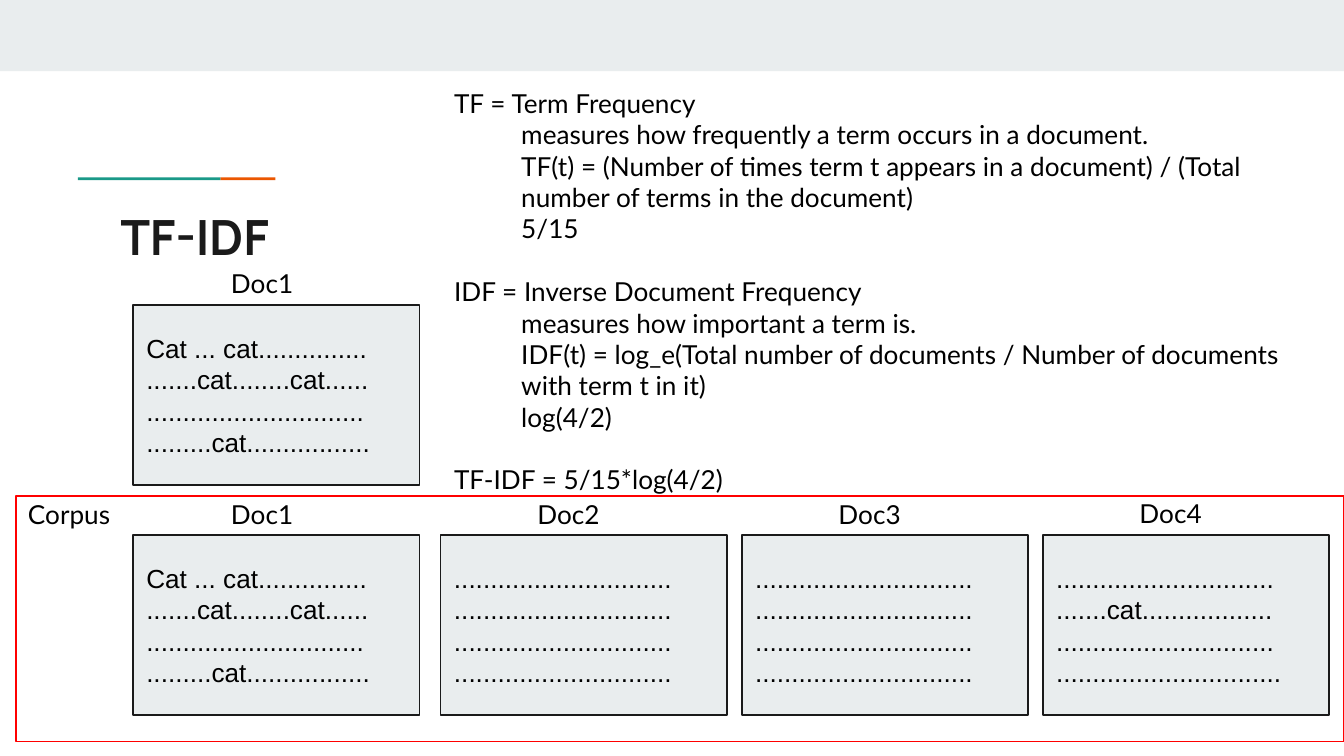
from pptx import Presentation
from pptx.dml.color import RGBColor
from pptx.enum.shapes import MSO_SHAPE
from pptx.enum.text import MSO_ANCHOR, PP_ALIGN
from pptx.util import Inches, Pt

BLACK = RGBColor(0x00, 0x00, 0x00)
INK = RGBColor(0x1A, 0x1A, 0x1A)
PALE = RGBColor(0xE9, 0xED, 0xEE)
TEAL = RGBColor(0x1A, 0x99, 0x88)
ORANGE = RGBColor(0xEB, 0x56, 0x00)
RED = RGBColor(0xFF, 0x00, 0x00)

prs = Presentation()
prs.slide_width = Inches(10)
prs.slide_height = Inches(5.625)
s = prs.slides.add_slide(prs.slide_layouts[6])


def add_rect(x, y, w, h, fill=None, line=None):
    sp = s.shapes.add_shape(MSO_SHAPE.RECTANGLE, Inches(x), Inches(y), Inches(w), Inches(h))
    sp.shadow.inherit = False
    if fill is None:
        sp.fill.background()
    else:
        sp.fill.solid()
        sp.fill.fore_color.rgb = fill
    if line is None:
        sp.line.fill.background()
    else:
        sp.line.color.rgb = line
        sp.line.width = Pt(0.75)
    return sp


def add_text(sp, lines, font="Lato", size=14, color=BLACK, bold=False):
    tf = sp.text_frame
    tf.word_wrap = True
    tf.margin_left = tf.margin_right = tf.margin_top = tf.margin_bottom = Inches(0.1)
    for i, line in enumerate(lines):
        p = tf.paragraphs[0] if i == 0 else tf.add_paragraph()
        p.alignment = PP_ALIGN.LEFT
        r = p.add_run()
        r.text = line
        r.font.name = font
        r.font.size = Pt(size)
        r.font.bold = bold
        r.font.color.rgb = color
    return tf


add_rect(0, 0, 10, 0.53, PALE)
add_rect(1.64, 1.32, 0.41, 0.02, ORANGE)
add_rect(0.58, 1.32, 1.06, 0.02, TEAL)

title = s.shapes.add_textbox(Inches(0.8), Inches(1.44), Inches(8.41), Inches(0.59))
add_text(title, ["TF-IDF"], "Manrope", 26, INK, True)

dots = "." * 30
cat_doc = ["Cat ... cat...............", ".......cat........cat......", dots, ".........cat................."]
last_doc = [dots, ".......cat..................", dots, dots + "."]
docs = [
    (0.99, 2.27, cat_doc),
    (0.99, 3.98, cat_doc),
    (5.52, 3.98, [dots] * 4),
    (7.76, 3.98, last_doc),
    (3.28, 3.98, [dots] * 4),
]
for x, y, lines in docs:
    sp = add_rect(x, y, 2.13, 1.34, PALE, INK)
    tf = add_text(sp, lines, "Arial")
    tf.vertical_anchor = MSO_ANCHOR.MIDDLE

labels = [
    ("Doc1", 1.62, 1.89),
    ("Doc1", 1.62, 3.61),
    ("Doc2", 3.9, 3.61),
    ("Doc3", 6.14, 3.61),
    ("Doc4", 8.38, 3.6),
    ("Corpus", 0.11, 3.61),
]
for label, x, y in labels:
    add_text(s.shapes.add_textbox(Inches(x), Inches(y), Inches(0.88), Inches(0.38)), [label])

add_rect(0.12, 3.69, 9.88, 1.83, line=RED)

notes = [
    "TF = Term Frequency",
    "measures how frequently a term occurs in a document.",
    "TF(t) = (Number of times term t appears in a document) / (Total number of terms in the document)",
    "5/15",
    "IDF = Inverse Document Frequency",
    "measures how important a term is.",
    "IDF(t) = log_e(Total number of documents / Number of documents with term t in it)",
    "log(4/2)",
    "TF-IDF = 5/15*log(4/2)",
]
box = s.shapes.add_textbox(Inches(3.28), Inches(0.55), Inches(6.61), Inches(3.06))
tf = add_text(box, notes)
for i, p in enumerate(tf.paragraphs):
    if i % 4:
        p._p.get_or_add_pPr().set("marL", str(Inches(0.5)))
    elif i:
        p.space_before = Pt(16.8)

prs.save("out.pptx")
